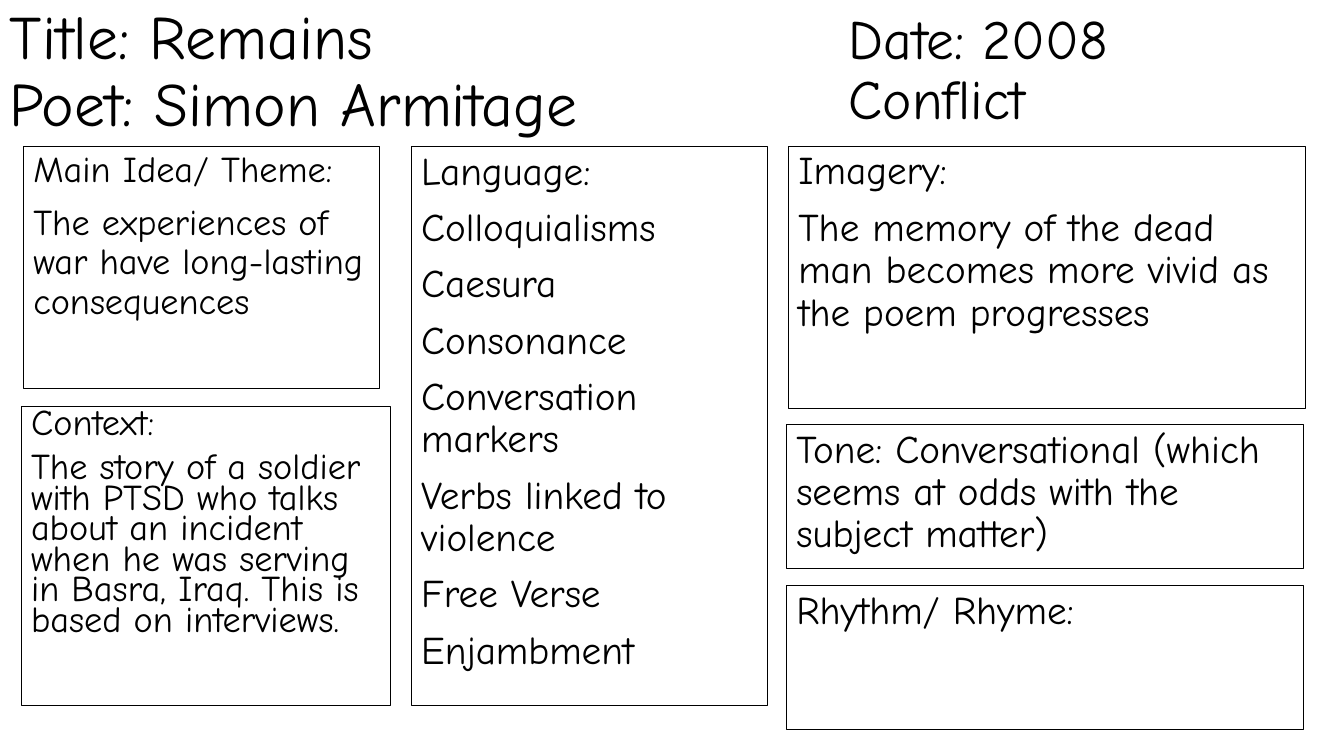
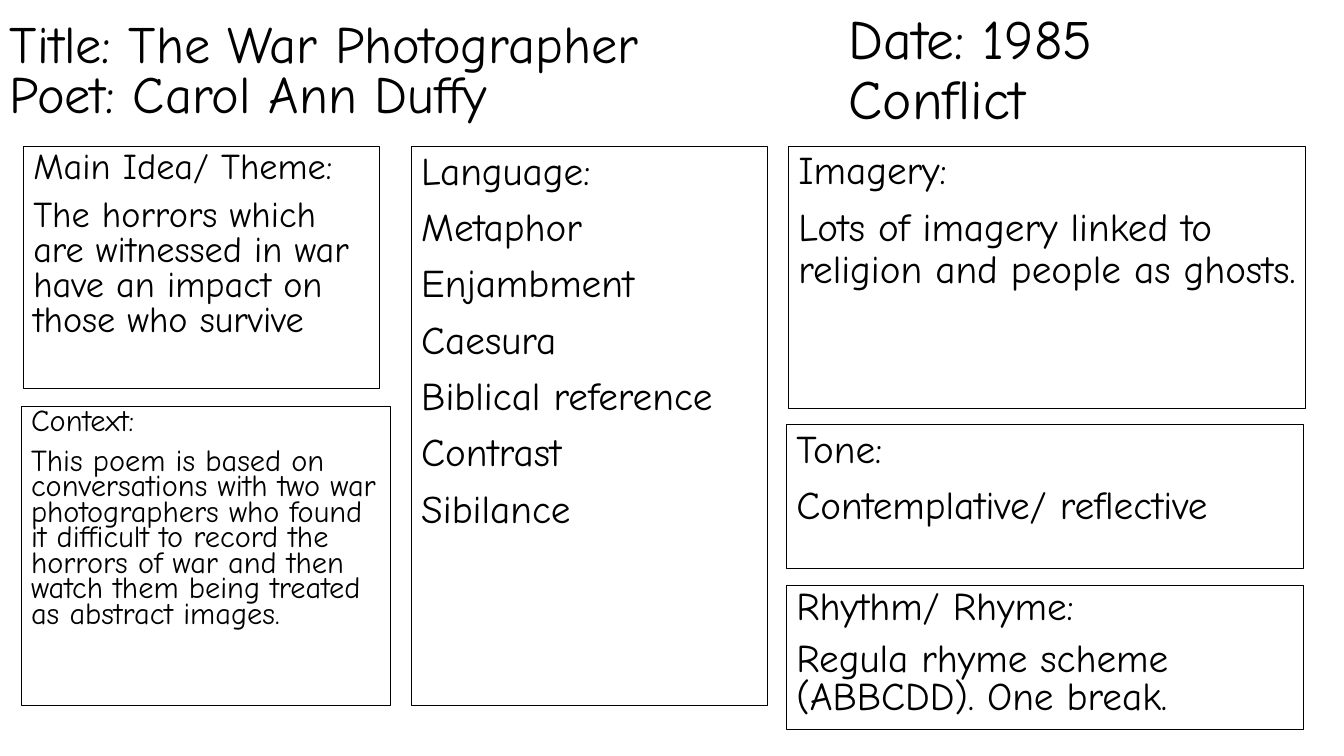
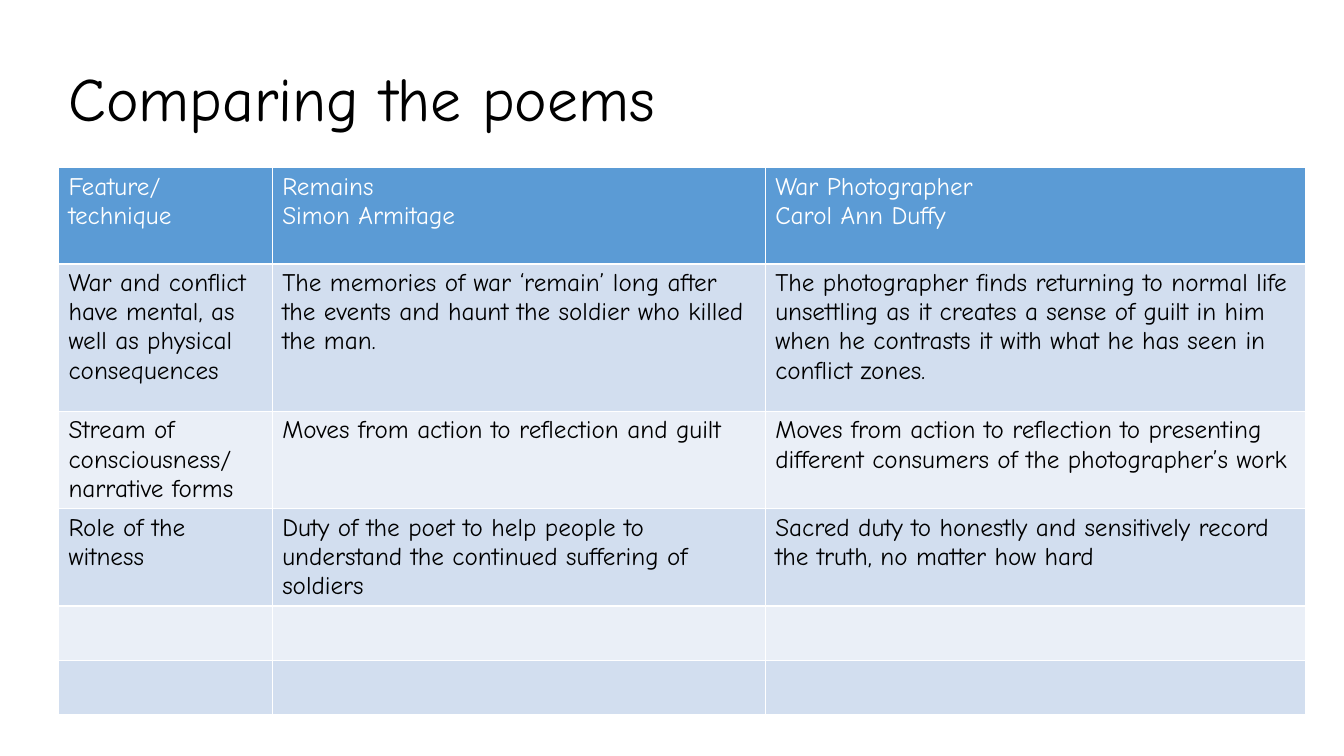
"""Build two poem revision sheets and a table comparing the poems."""
from dataclasses import dataclass

from lxml import etree
from pptx import Presentation
from pptx.dml.color import RGBColor
from pptx.enum import shapes, text
from pptx.oxml import ns
from pptx.util import Inches, Pt


@dataclass(frozen=True)
class Theme:
    font: str = "Comic Neue"
    ink: str = "000000"
    white: str = "FFFFFF"
    header: str = "5B9BD5"
    bands: tuple = ("D2DEEF", "EAEFF7")
    title: float = 44
    date: float = 39.6
    body: float = 28
    cell: float = 18
    outline: float = 0.75
    border: float = 1
    spacing: float = 0.9
    before: float = 10


THEME = Theme()

BOXES = {
    "Main Idea": (0.23, 1.45, 3.53, 2.4),
    "Imagery": (7.82, 1.45, 5.13, 2.6),
    "Language": (4.08, 1.45, 3.53, 5.55),
    "Context": (0.21, 4.03, 3.66, 2.97),
    "Tone": (7.8, 4.21, 5.13, 1.43),
    "Rhythm": (7.8, 5.81, 5.13, 1.43),
}
POEM_AT = (0, 0, 7.24, 1.45)
DATE_AT = (8.32, 0.14, 5.01, 1.14)

POEMS = [
    {
        "poem": "Title: Remains\vPoet: Simon Armitage",
        "date": "Date: 2008\vConflict",
        "boxes": {
            "Main Idea": ["Main Idea/ Theme:",
                          "The experiences of war have long-lasting consequences"],
            "Imagery": ["Imagery:",
                        "The memory of the dead man becomes more vivid as the poem progresses"],
            "Language": ["Language:", "Colloquialisms", "Caesura", "Consonance",
                         "Conversation markers", "Verbs linked to violence",
                         "Free Verse", "Enjambment"],
            "Context": ["Context:",
                        "The story of a soldier with PTSD who talks about an incident when he "
                        "was serving in Basra, Iraq. This is based on interviews."],
            "Tone": ["Tone: Conversational (which seems at odds with the subject matter)"],
            "Rhythm": ["Rhythm/ Rhyme:"],
        },
        "fit": {"Main Idea": (25.9, 0.9), "Context": (25.9, 0.7)},
    },
    {
        "poem": "Title: The War Photographer\vPoet: Carol Ann Duffy",
        "date": "Date: 1985\vConflict",
        "boxes": {
            "Main Idea": ["Main Idea/ Theme:",
                          "The horrors which are witnessed in war have an impact on those "
                          "who survive"],
            "Imagery": ["Imagery:",
                        "Lots of imagery linked to religion and people as ghosts."],
            "Language": ["Language:", "Metaphor", "Enjambment", "Caesura",
                         "Biblical reference", "Contrast", "Sibilance"],
            "Context": ["Context:",
                        "This poem is based on conversations with two war photographers who "
                        "found it difficult to record the horrors of war and then watch them "
                        "being treated as abstract images."],
            "Tone": ["Tone:", "Contemplative/ reflective"],
            "Rhythm": ["Rhythm/ Rhyme:", "Regula rhyme scheme (ABBCDD). One break."],
        },
        "fit": {"poem": (37.4, 0.8), "Main Idea": (25.9, 0.8),
                "Context": (21.7, 0.7), "Rhythm": (28, 0.8)},
    },
]

COMPARE_TITLE = "Comparing the poems"
COMPARE_TITLE_AT = (0.58, 0.17, 12.36, 1.68)
TABLE_AT = (0.58, 1.66)
COL_WIDTHS = (2.12, 4.89, 5.36)
ROW_HEIGHTS = (0.96, 1.46, 0.96, 0.96, 0.54, 0.54)
COMPARISON = [
    ("Feature/ technique", "Remains\nSimon Armitage", "War Photographer\nCarol Ann Duffy"),
    ("War and conflict have mental, as well as physical consequences",
     "The memories of war ‘remain’ long after the events and haunt the soldier who killed "
     "the man.",
     "The photographer finds returning to normal life unsettling as it creates a sense of "
     "guilt in him when he contrasts it with what he has seen in conflict zones."),
    ("Stream of consciousness/ narrative forms",
     "Moves from action to reflection and guilt",
     "Moves from action to reflection to presenting different consumers of the "
     "photographer’s work"),
    ("Role of the witness",
     "Duty of the poet to help people to understand the continued suffering of soldiers",
     "Sacred duty to honestly and sensitively record the truth, no matter how hard"),
    ("", "", ""),
    ("", "", ""),
]


def rgb(value):
    return RGBColor.from_string(value)


def place(sp, at):
    sp.left, sp.top, sp.width, sp.height = map(Inches, at)


def write(tf, content, size, spacing=None, before=0, color=THEME.ink):
    tf.text = content
    for p in tf.paragraphs:
        p.alignment = text.PP_ALIGN.LEFT
        p.space_before = Pt(before)
        if spacing:
            p.line_spacing = spacing
        for r in p.runs:
            r.font.name = THEME.font
            r.font.size = Pt(size)
            r.font.bold = False
            r.font.color.rgb = rgb(color)


def set_frame(tf, anchor):
    tf.word_wrap = True
    tf.auto_size = text.MSO_AUTO_SIZE.NONE
    tf.vertical_anchor = anchor


def heading(sp, at, content, size, spacing=THEME.spacing):
    place(sp, at)
    set_frame(sp.text_frame, text.MSO_ANCHOR.MIDDLE)
    write(sp.text_frame, content, size, spacing)


def note_box(sp, at, lines, size, spacing):
    place(sp, at)
    sp.fill.background()
    sp.line.color.rgb = rgb(THEME.ink)
    sp.line.width = Pt(THEME.outline)
    set_frame(sp.text_frame, text.MSO_ANCHOR.TOP)
    write(sp.text_frame, "\n".join(lines), size, spacing, THEME.before)


def remove_bullets(tf):
    for p in tf.paragraphs:
        pPr = p._p.get_or_add_pPr()
        pPr.set("marL", "0")
        pPr.set("indent", "0")
        etree.SubElement(pPr, ns.qn("a:buNone"))


def poem_slide(prs, poem):
    s = prs.slides.add_slide(prs.slide_layouts[1])
    body = s.placeholders[1]
    fit = poem["fit"]
    for name, lines in poem["boxes"].items():
        if name == "Main Idea":
            sp = body
        else:
            sp = s.shapes.add_shape(shapes.MSO_SHAPE.RECTANGLE, 0, 0, 0, 0)
            sp.shadow.inherit = False
        note_box(sp, BOXES[name], lines, *fit.get(name, (THEME.body, THEME.spacing)))
    remove_bullets(body.text_frame)
    heading(s.shapes.add_textbox(0, 0, 0, 0), POEM_AT, poem["poem"],
            *fit.get("poem", (THEME.title, THEME.spacing)))
    heading(s.shapes.title, DATE_AT, poem["date"], THEME.date)


def add_borders(cell):
    tcPr = cell._tc.get_or_add_tcPr()
    for i, side in enumerate(("lnL", "lnR", "lnT", "lnB")):
        ln = etree.Element(ns.qn(f"a:{side}"), w=str(Pt(THEME.border)))
        fill = etree.SubElement(ln, ns.qn("a:solidFill"))
        etree.SubElement(fill, ns.qn("a:srgbClr"), val=THEME.white)
        tcPr.insert(i, ln)


def comparison_slide(prs):
    s = prs.slides.add_slide(prs.slide_layouts[5])
    heading(s.shapes.title, COMPARE_TITLE_AT, COMPARE_TITLE, THEME.title)
    size = (sum(COL_WIDTHS), sum(ROW_HEIGHTS))
    table = s.shapes.add_table(len(ROW_HEIGHTS), len(COL_WIDTHS),
                               *map(Inches, TABLE_AT + size)).table
    for col, width in zip(table.columns, COL_WIDTHS):
        col.width = Inches(width)
    for i, (row, height, values) in enumerate(zip(table.rows, ROW_HEIGHTS, COMPARISON)):
        row.height = Inches(height)
        fill = THEME.bands[(i - 1) % 2] if i else THEME.header
        for cell, value in zip(row.cells, values):
            cell.fill.solid()
            cell.fill.fore_color.rgb = rgb(fill)
            add_borders(cell)
            write(cell.text_frame, value, THEME.cell, color=THEME.ink if i else THEME.white)


def main():
    prs = Presentation()
    prs.slide_width, prs.slide_height = Inches(13.33), Inches(7.5)
    for poem in POEMS:
        poem_slide(prs, poem)
    comparison_slide(prs)
    prs.save("out.pptx")


if __name__ == "__main__":
    main()
